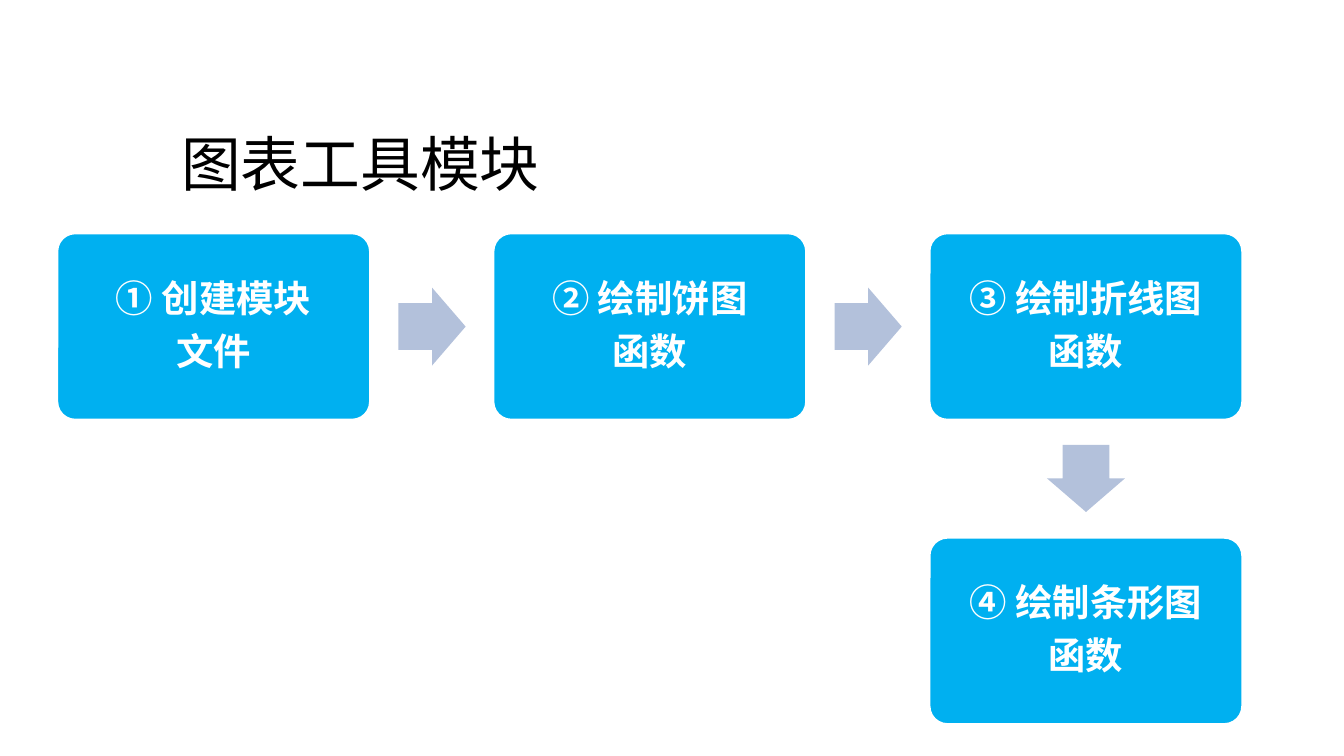
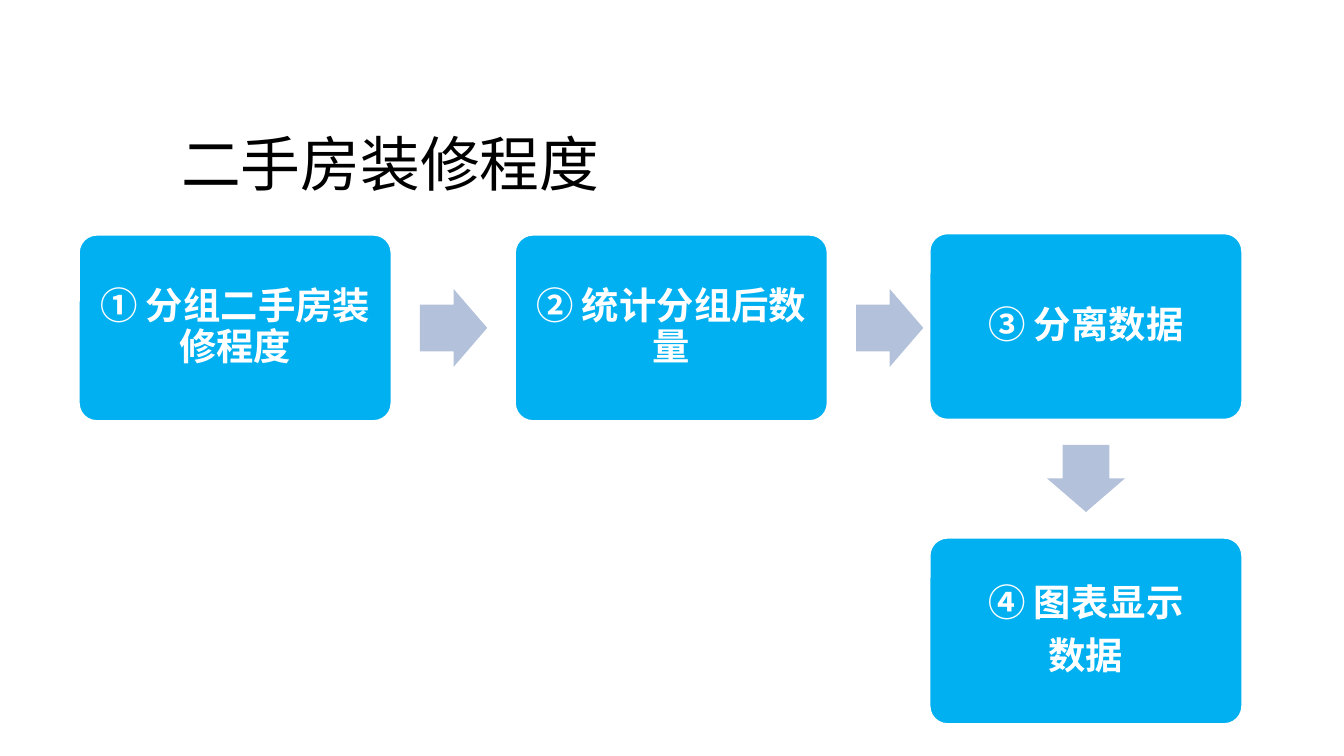
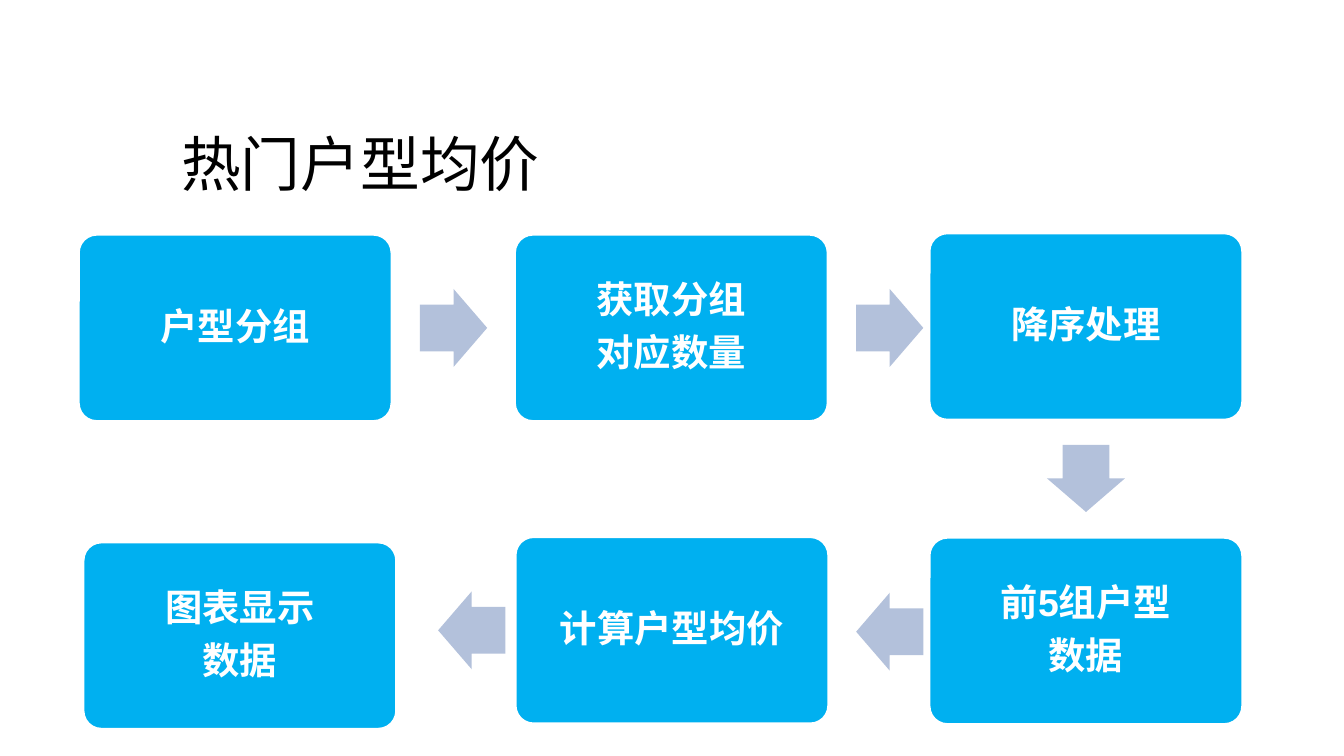
from dataclasses import dataclass
from enum import Enum

from pptx import Presentation
from pptx import util as u
from pptx.dml.color import RGBColor
from pptx.enum import shapes, text

PX = 4572
SLIDE_W, SLIDE_H = 2000, 1125
BOX_W, BOX_H = 468, 280
ARROW_W, ARROW_H = 100, 116
PAD = 8
BLUE, GREY_BLUE, WHITE, BLACK = "00B0F0", "B3C1DB", "FFFFFF", "000000"
TOP, BOTTOM = 346, 799
RIGHT = 1382


class Arrow(Enum):
    EAST = (509, 82, 0)
    SOUTH = (184, 308, 90)
    WEST = (-108, 83, 180)
    FAR_WEST = (-114, 82, 180)


@dataclass(frozen=True)
class Step:
    lines: tuple[str, ...]
    left: int
    top: int
    arrow: Arrow | None = None


@dataclass(frozen=True)
class Flow:
    title: str
    steps: tuple[Step, ...]


FLOWS = (
    Flow("图表工具模块", (
        Step(("① 创建模块", "文件"), 84, TOP, Arrow.EAST),
        Step(("② 绘制饼图", "函数"), 733, TOP, Arrow.EAST),
        Step(("③ 绘制折线图", "函数"), RIGHT, TOP, Arrow.SOUTH),
        Step(("④ 绘制条形图", "函数"), RIGHT, BOTTOM),
    )),
    Flow("二手房装修程度", (
        Step(("① 分组二手房装修程度",), 116, TOP + 2, Arrow.EAST),
        Step(("② 统计分组后数量",), 765, TOP + 2, Arrow.EAST),
        Step(("③ 分离数据",), RIGHT, TOP, Arrow.SOUTH),
        Step(("④ 图表显示", "数据"), RIGHT, BOTTOM),
    )),
    Flow("热门户型均价", (
        Step(("户型分组",), 116, TOP + 2, Arrow.EAST),
        Step(("获取分组", "对应数量"), 765, TOP + 2, Arrow.EAST),
        Step(("降序处理",), RIGHT, TOP, Arrow.SOUTH),
        Step(("计算户型均价",), 766, BOTTOM - 1, Arrow.FAR_WEST),
        Step(("前5组户型", "数据"), RIGHT, BOTTOM, Arrow.WEST),
        Step(("图表显示", "数据"), 123, BOTTOM + 7),
    )),
)


def px(*lengths: int) -> tuple[int, ...]:
    return tuple(n * PX for n in lengths)


def rgb(value: str) -> RGBColor:
    return RGBColor.from_string(value)


def add_text(s, lines: tuple[str, ...], left: int, top: int, width: int, height: int, *,
             size: int, font: str, color: str, bold: bool = False,
             align=text.PP_ALIGN.LEFT, anchor=text.MSO_ANCHOR.TOP,
             spacing: float = 1.0, after: int = 0, inset: int | None = None) -> None:
    tf = s.shapes.add_textbox(*px(left, top, width, height)).text_frame
    tf.word_wrap = True
    tf.vertical_anchor = anchor
    if inset is not None:
        tf.margin_left = tf.margin_top = tf.margin_right = tf.margin_bottom = inset * PX
    for i, line in enumerate(lines):
        p = tf.paragraphs[0] if i == 0 else tf.add_paragraph()
        p.alignment = align
        p.line_spacing = spacing
        p.space_after = u.Pt(after)
        r = p.add_run()
        r.text = line
        r.font.size = u.Pt(size)
        r.font.name = font
        r.font.bold = bold
        r.font.color.rgb = rgb(color)


def add_preset(s, kind, left: int, top: int, width: int, height: int, fill: str,
               adjustments: tuple[float, ...], line: str | None = None):
    sp = s.shapes.add_shape(kind, *px(left, top, width, height))
    sp.shadow.inherit = False
    sp.fill.solid()
    sp.fill.fore_color.rgb = rgb(fill)
    if line:
        sp.line.color.rgb = rgb(line)
        sp.line.width = u.Pt(2)
    else:
        sp.line.fill.background()
    for i, value in enumerate(adjustments):
        sp.adjustments[i] = value
    return sp


def add_step(s, step: Step) -> None:
    add_preset(s, shapes.MSO_SHAPE.ROUNDED_RECTANGLE, step.left, step.top,
               BOX_W, BOX_H, BLUE, (0.1,), line=WHITE)
    add_text(s, step.lines, step.left + PAD, step.top + PAD,
             BOX_W - 2 * PAD, BOX_H - 2 * PAD,
             size=20, font="Arial", color=WHITE, bold=True,
             align=text.PP_ALIGN.CENTER, anchor=text.MSO_ANCHOR.MIDDLE,
             spacing=0.9, after=7, inset=16)
    if step.arrow:
        dx, dy, angle = step.arrow.value
        arrow = add_preset(s, shapes.MSO_SHAPE.RIGHT_ARROW, step.left + dx, step.top + dy,
                           ARROW_W, ARROW_H, GREY_BLUE, (0.6, 0.5))
        arrow.rotation = angle


def main() -> None:
    prs = Presentation()
    prs.slide_width, prs.slide_height = px(SLIDE_W, SLIDE_H)
    for flow in FLOWS:
        s = prs.slides.add_slide(prs.slide_layouts[6])
        for step in flow.steps:
            add_step(s, step)
        add_text(s, (flow.title,), 250, 179, 1718, 134,
                 size=32, font="Calibri", color=BLACK)
    prs.save("out.pptx")


if __name__ == "__main__":
    main()
